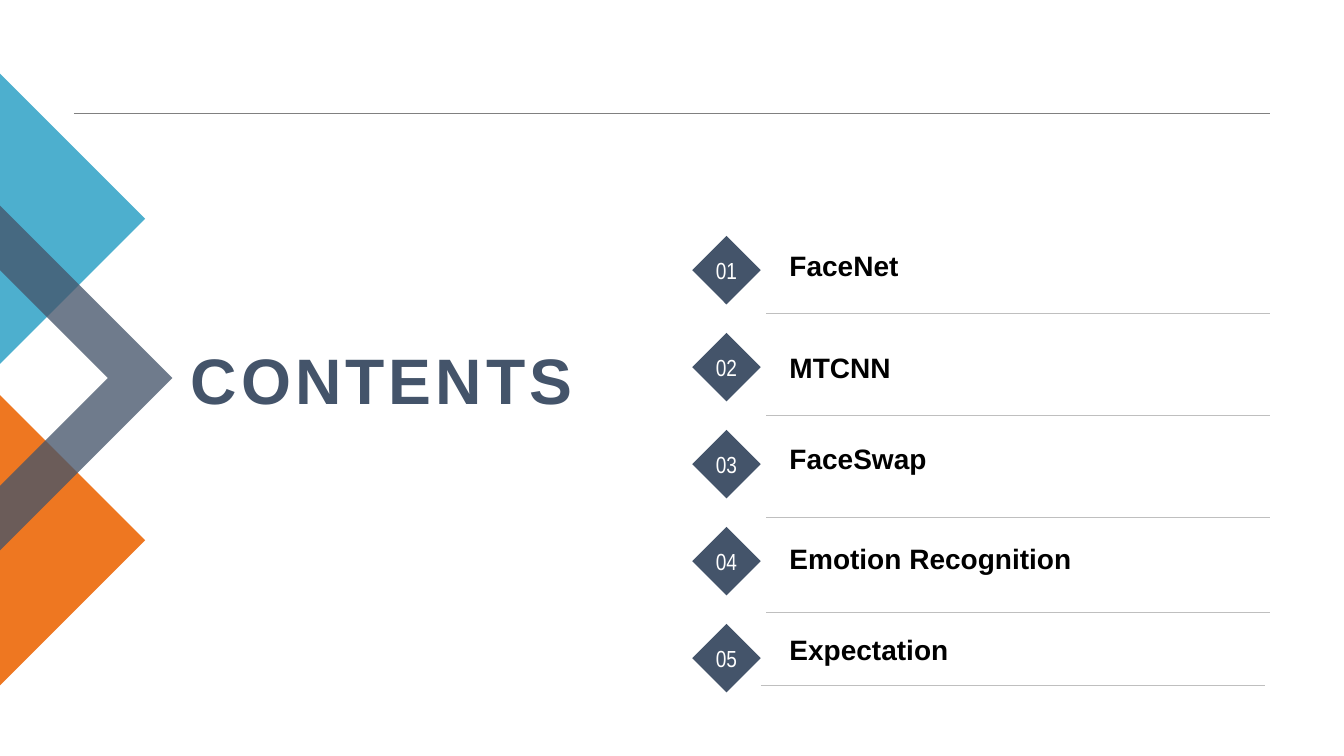
"""Builds the contents slide: chevrons on the left, five numbered topics on the right."""
from lxml import etree
from pptx import Presentation
from pptx.dml.color import RGBColor
from pptx.enum.shapes import MSO_CONNECTOR, MSO_SHAPE
from pptx.enum.text import MSO_ANCHOR, PP_ALIGN
from pptx.oxml.ns import qn
from pptx.util import Inches, Pt

DIAMOND = MSO_SHAPE.DIAMOND
STRAIGHT = MSO_CONNECTOR.STRAIGHT
MIDDLE, BOTTOM = MSO_ANCHOR.MIDDLE, MSO_ANCHOR.BOTTOM
LEFT, CENTER, RIGHT = PP_ALIGN.LEFT, PP_ALIGN.CENTER, PP_ALIGN.RIGHT

SLATE = RGBColor(0x44, 0x54, 0x6A)
TEAL = RGBColor(0x4D, 0xAF, 0xCE)
ORANGE = RGBColor(0xEE, 0x77, 0x21)
GRAY = RGBColor(0x80, 0x80, 0x80)
SILVER = RGBColor(0xBF, 0xBF, 0xBF)
WHITE = RGBColor(0xFF, 0xFF, 0xFF)
BLACK = RGBColor(0x00, 0x00, 0x00)

deck = Presentation()
deck.slide_width, deck.slide_height = Inches(13.33), Inches(7.5)
COL, ROW = deck.slide_width / 100, deck.slide_height / 100
slide = deck.slides.add_slide(deck.slide_layouts[6])
shapes = slide.shapes


def write(shape, text, anchor, align, look):
    """Put one line of text in a shape and return its run."""
    frame = shape.text_frame
    frame.word_wrap = False
    frame.vertical_anchor = anchor
    line = frame.paragraphs[0]
    line.alignment = align
    run = line.add_run()
    run.text = text
    for key, value in look.items():
        if key == "color":
            run.font.color.rgb = value
        else:
            setattr(run.font, key, value)
    return run


def rule(left, right, top, color):
    """Draw a thin level line."""
    line = shapes.add_connector(STRAIGHT, round(left * COL), round(top * ROW),
                                round(right * COL), round(top * ROW))
    line.line.color.rgb = color
    line.line.width = Pt(0.25)
    etree.SubElement(line._element.spPr, qn("a:effectLst"))


rule(5.5, 94.5, 14.95, GRAY)

ARROWS = [
    (ORANGE, 100, [(0, 52.27), (10.8, 71.47), (0, 90.67)]),
    (TEAL, 100, [(0, 9.73), (10.8, 28.93), (0, 48.13)]),
    (SLATE, 77, [(0, 27.2), (12.83, 50), (0, 72.8), (0, 64.27), (8.03, 50), (0, 35.73)]),
]
for color, alpha, points in ARROWS:
    spots = [(round(x * COL), round(y * ROW)) for x, y in points]
    pen = shapes.build_freeform(*spots[0])
    pen.add_line_segments(spots[1:], close=True)
    arrow = pen.convert_to_shape()
    arrow.shadow.inherit = False
    arrow.fill.solid()
    arrow.fill.fore_color.rgb = color
    arrow.line.fill.background()
    if alpha < 100:
        tint = arrow._element.spPr.find(".//" + qn("a:srgbClr"))
        etree.SubElement(tint, qn("a:alpha"), val=str(alpha * 1000))

HEAD = {"name": "Arial", "size": Pt(45.9), "bold": True, "color": SLATE}
TOPIC = {"name": "Arial", "size": Pt(20), "bold": True, "color": BLACK}
DIGIT = {"name": "Arial Narrow", "size": Pt(16.6), "bold": False, "color": WHITE}

box = shapes.add_textbox(round(12.68 * COL), round(43.45 * ROW),
                         round(30.7 * COL), round(13.45 * ROW))
title = write(box, "CONTENTS", MIDDLE, RIGHT, HEAD)
box.text_frame.word_wrap = True
title.font._element.set("spc", "300")

SIDE = round(5.1 * COL)
TOPICS = [
    ("FaceNet", 33.6, 57, 41.45),
    ("MTCNN", 47.05, 57, 54.95),
    ("FaceSwap", 59.05, 57, 68.4),
    ("Emotion Recognition", 72.4, 57, 80.95),
    ("Expectation", 84.4, 56.62, 90.65),
]
for i, (name, top, start, base) in enumerate(TOPICS):
    gem = shapes.add_shape(DIAMOND, round(51.5 * COL), round((31.2 + 12.83 * i) * ROW), SIDE, SIDE)
    gem.shadow.inherit = False
    gem.fill.solid()
    gem.fill.fore_color.rgb = SLATE
    gem.line.fill.background()
    write(gem, f"{i + 1:02}", MIDDLE, CENTER, DIGIT)
    label = shapes.add_textbox(round(58 * COL), round(top * ROW), round(32.5 * COL), round(4.4 * ROW))
    write(label, name, BOTTOM, LEFT, TOPIC)
    rule(start, start + 37.5, base, SILVER)

deck.save("out.pptx")
